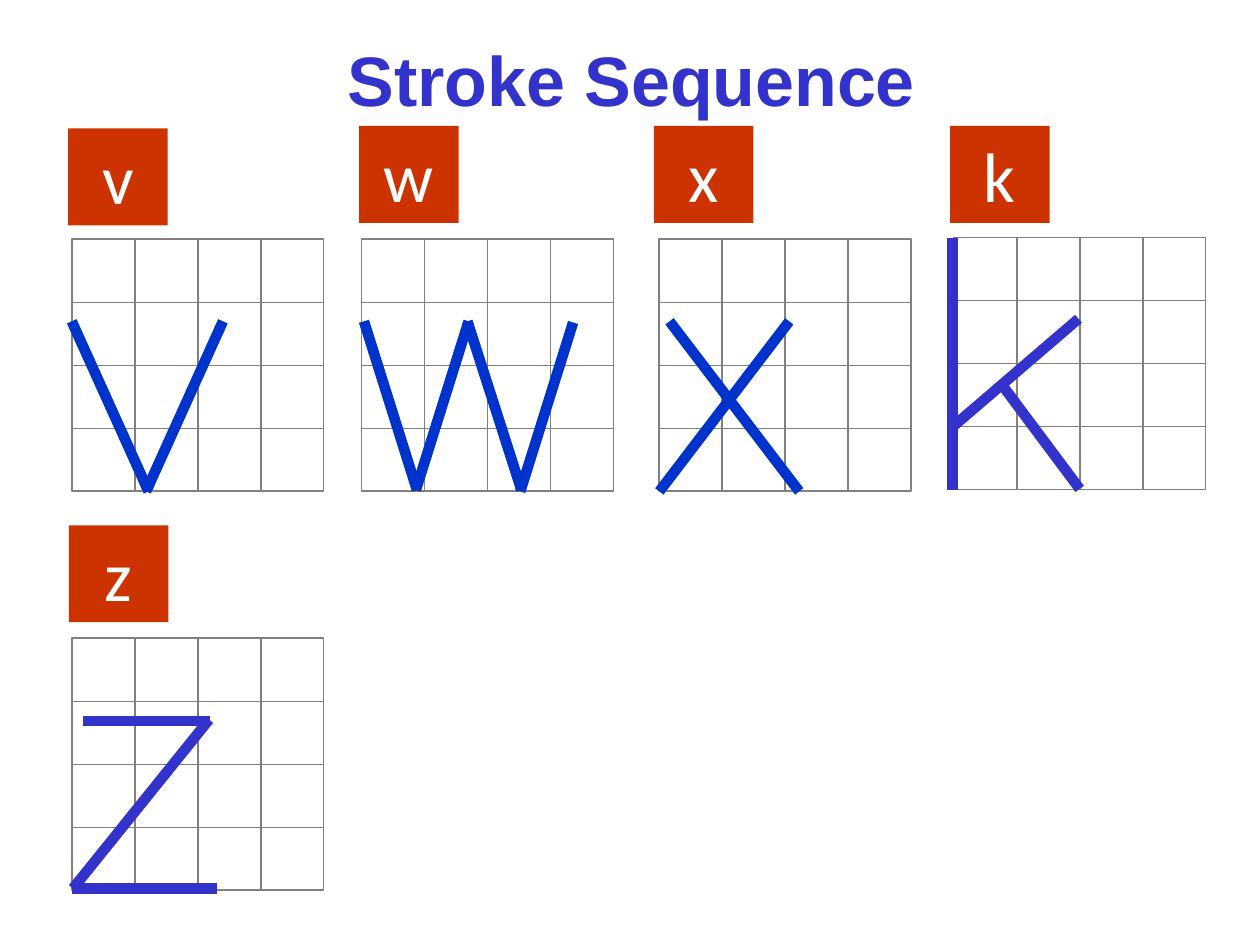
from dataclasses import dataclass

from lxml import etree
from pptx import Presentation
from pptx.dml.color import RGBColor
from pptx.enum.shapes import MSO_CONNECTOR, MSO_SHAPE
from pptx.enum.text import MSO_ANCHOR, MSO_AUTO_SIZE, PP_ALIGN
from pptx.oxml.ns import qn
from pptx.util import Pt

LINE = MSO_CONNECTOR.STRAIGHT
RECT = MSO_SHAPE.RECTANGLE
MIDDLE, TOP = MSO_ANCHOR.MIDDLE, MSO_ANCHOR.TOP
CENTER = PP_ALIGN.CENTER
GROW = MSO_AUTO_SIZE.SHAPE_TO_FIT_TEXT
FIXED = MSO_AUTO_SIZE.NONE


@dataclass(frozen=True)
class Theme:
    title: RGBColor = RGBColor(0x33, 0x33, 0xCC)
    stroke: RGBColor = RGBColor(0x00, 0x33, 0xCC)
    tag: RGBColor = RGBColor(0xCC, 0x33, 0x00)
    grid: RGBColor = RGBColor(0x80, 0x80, 0x80)
    white: RGBColor = RGBColor(0xFF, 0xFF, 0xFF)
    size: int = 40
    thin: int = 1
    thick: int = 6


THEME = Theme()
TAG_SIZE = (56.9, 55.4)
SIDE, CELLS = 144, 4

PANELS = [
    ("v", (38.9, 73.4), (41, 136.8), THEME.stroke,
     [(0, 46.8, 43.9, 144), (86.4, 46.8, 42.5, 144)]),
    ("w", (205.2, 72), (206.6, 136.8), THEME.stroke,
     [(1.4, 46.8, 31.7, 143.3), (60.5, 46.8, 91.4, 143.3),
      (61.2, 46.8, 31, 143.3), (120.9, 47.5, 90.7, 144)]),
    ("x", (373.7, 72), (376.8, 136.8), THEME.stroke,
     [(74.2, 46.8, 0, 144), (5.8, 46.8, 79.9, 144)]),
    ("k", (542.9, 72), (545, 135.8), THEME.title,
     [(-0.7, 0, -0.7, 144), (71.3, 46.4, 0, 107.6),
      (27.4, 83.9, 72, 143.6)]),
    ("z", (39.4, 300.2), (41, 364.8), THEME.title,
     [(6.5, 47.2, 79.2, 47.2), (78.5, 46.4, 0.7, 142.9),
      (0, 142.9, 82.8, 142.9)]),
]


def style(item, values):
    for name, value in values.items():
        setattr(item, name, value)


def write(shape, text, frame, font):
    style(shape.text_frame, {"word_wrap": True, **frame})
    para = shape.text_frame.paragraphs[0]
    para.alignment = CENTER
    run = para.add_run()
    run.text = text
    color = font.pop("color")
    style(run.font, {"size": Pt(THEME.size), **font})
    run.font.color.rgb = color


def add_line(shapes, ends, color, width):
    line = shapes.add_connector(LINE, *map(Pt, ends))
    line.line.color.rgb = color
    line.line.width = Pt(width)
    etree.SubElement(line._element.spPr, qn("a:effectLst"))


def add_rect(shapes, box):
    rect = shapes.add_shape(RECT, *map(Pt, box))
    rect.shadow.inherit = False
    return rect


def add_title(shapes, box, text):
    title = shapes.add_textbox(*map(Pt, box))
    write(title, text, {"vertical_anchor": MIDDLE, "auto_size": FIXED},
          {"name": "Arial", "bold": True, "color": THEME.title})


def add_tag(shapes, box, text):
    tag = add_rect(shapes, box)
    tag.fill.solid()
    tag.fill.fore_color.rgb = THEME.tag
    tag.line.fill.background()
    write(tag, text, {"vertical_anchor": TOP, "auto_size": GROW},
          {"name": "Calibri", "color": THEME.white})


def add_grid(shapes, left, top):
    group = shapes.add_group_shape().shapes
    frame = add_rect(group, (left, top, SIDE, SIDE))
    frame.fill.background()
    frame.line.color.rgb = THEME.grid
    frame.line.width = Pt(THEME.thin)
    right, base = left + SIDE, top + SIDE
    steps = [SIDE / CELLS * i for i in range(1, CELLS)]
    rules = [(left + s, top, left + s, base) for s in steps]
    rules += [(left, top + s, right, top + s) for s in steps]
    for rule in rules:
        add_line(group, rule, THEME.grid, THEME.thin)


def add_panel(shapes, letter, tag, grid, color, strokes):
    add_tag(shapes, tag + TAG_SIZE, letter)
    left, top = grid
    add_grid(shapes, left, top)
    for x1, y1, x2, y2 in strokes:
        ends = (left + x1, top + y1, left + x2, top + y2)
        add_line(shapes, ends, color, THEME.thick)


def main():
    deck = Presentation()
    style(deck, {"slide_width": Pt(720), "slide_height": Pt(540)})
    shapes = deck.slides.add_slide(deck.slide_layouts[6]).shapes
    add_title(shapes, (54.7, 0, 612, 90), "Stroke Sequence")
    for panel in PANELS:
        add_panel(shapes, *panel)
    deck.save("out.pptx")


if __name__ == "__main__":
    main()
